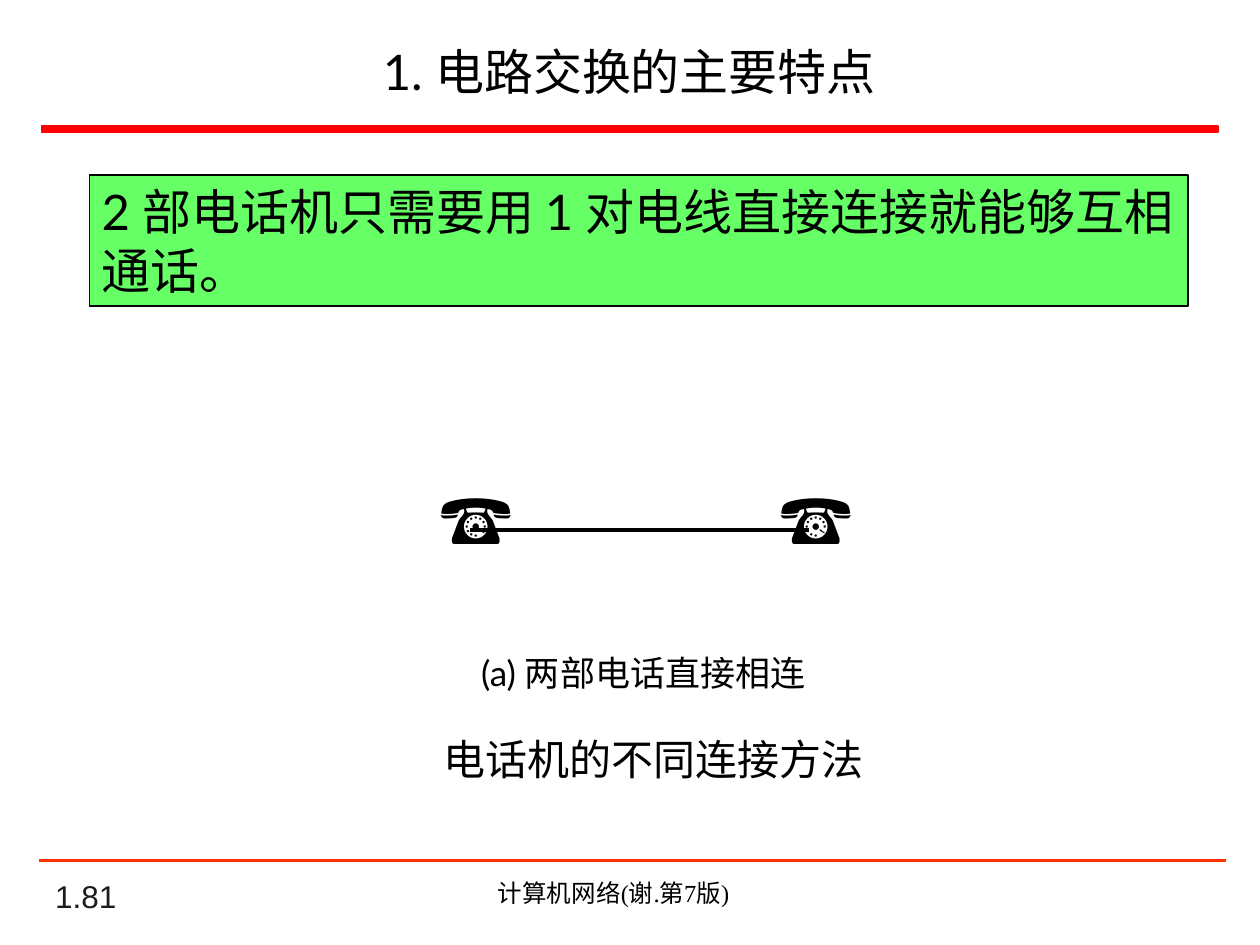
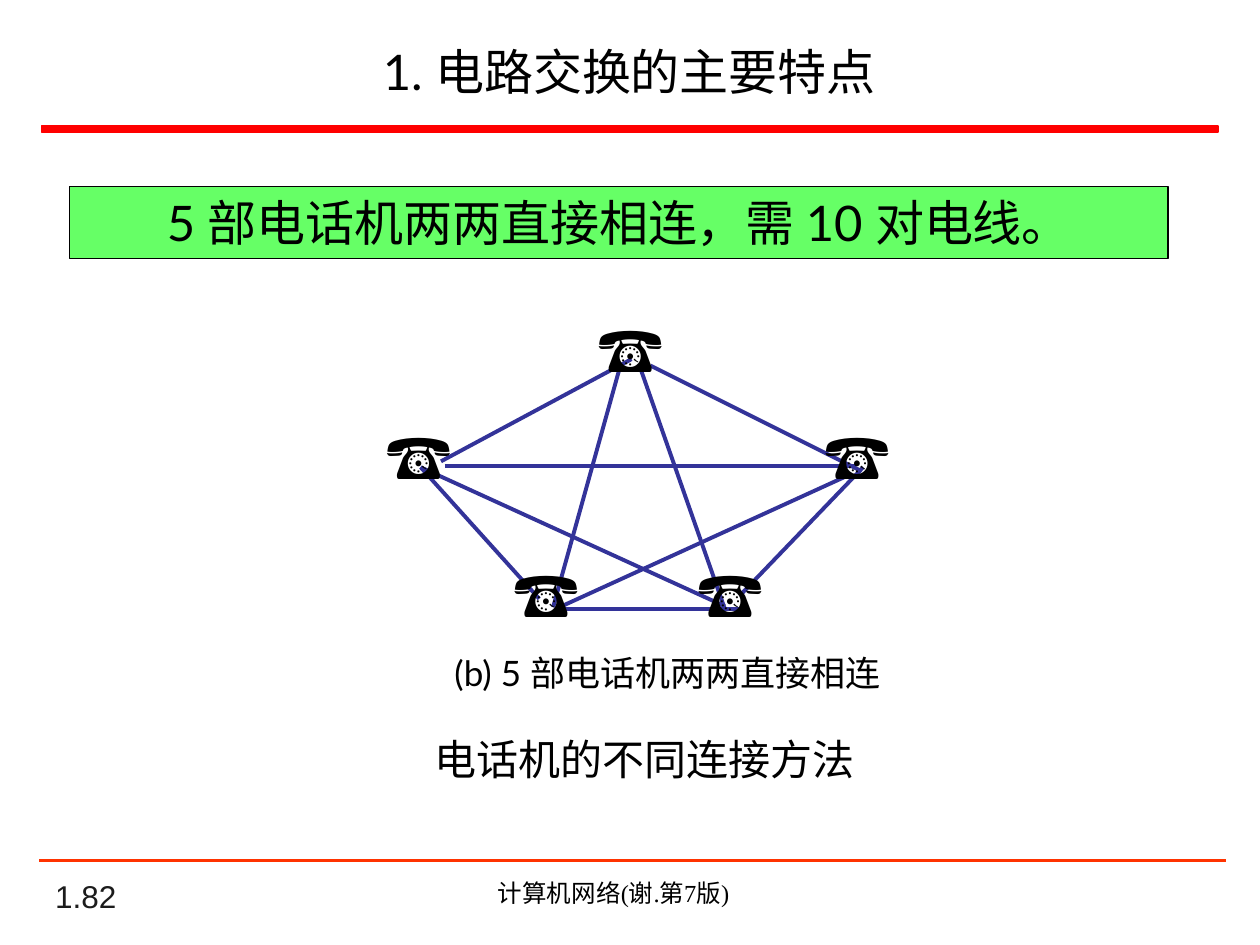
from dataclasses import dataclass
from typing import NamedTuple

from lxml.etree import SubElement
from pptx import Presentation
from pptx.dml.color import RGBColor
from pptx.enum.shapes import MSO_CONNECTOR, MSO_SHAPE
from pptx.enum.text import MSO_ANCHOR, MSO_AUTO_SIZE, PP_ALIGN
from pptx.oxml.ns import qn
from pptx.util import Cm, Pt

BLACK = RGBColor(0x00, 0x00, 0x00)
CHARCOAL = RGBColor(0x1C, 0x1C, 0x1C)
RED = RGBColor(0xFF, 0x00, 0x00)
ORANGE_RED = RGBColor(0xFF, 0x33, 0x00)
GREEN = RGBColor(0x66, 0xFF, 0x66)
INDIGO = RGBColor(0x33, 0x33, 0x99)

HEADING_FONT = "Lato"
SERIF_FONT = "Times New Roman"
NUMBER_FONT = "Arial"

TITLE = "1. 电路交换的主要特点"
FIGURE_TITLE = "电话机的不同连接方法"
FOOTER = "计算机网络(谢.第7版)"


class Area(NamedTuple):
    """A rectangle in centimetres."""
    left: float
    top: float
    width: float
    height: float

    def lengths(self) -> tuple:
        return tuple(Cm(value) for value in self)


class Style(NamedTuple):
    font: str
    size: float
    color: RGBColor = BLACK
    align: PP_ALIGN = PP_ALIGN.CENTER


class Wire(NamedTuple):
    """A straight line between two points in centimetres."""
    x1: float
    y1: float
    x2: float
    y2: float


class Phone(NamedTuple):
    left: float
    top: float


@dataclass
class Figure:
    """The telephones of one slide and the wires joining them."""
    phones: list[Phone]
    phone_size: tuple[float, float]
    phone_points: float
    wires: list[Wire]
    wire_color: RGBColor
    wires_on_top: bool


@dataclass
class Page:
    number: str
    statement: str
    statement_area: Area
    statement_align: PP_ALIGN
    figure: Figure
    caption: str
    caption_area: Area
    figure_title_area: Area


TITLE_STYLE = Style(HEADING_FONT, 28)
FIGURE_TITLE_STYLE = Style(HEADING_FONT, 24)
CAPTION_STYLE = Style(HEADING_FONT, 20)
FOOTER_STYLE = Style(SERIF_FONT, 14)
NUMBER_STYLE = Style(NUMBER_FONT, 18, CHARCOAL, PP_ALIGN.LEFT)

TITLE_AREA = Area(0.99, 0.56, 23.39, 1.75)
BAND_AREA = Area(0.84, 2.54, 23.72, 0.13)
FOOTER_RULE = Wire(0.79, 17.35, 24.71, 17.35)
FOOTER_AREA = Area(7.19, 17.58, 10.36, 0.86)
NUMBER_AREA = Area(0.86, 17.73, 5.28, 0.84)

PAGES = [
    Page(
        number="1.81",
        statement="2 部电话机只需要用 1 对电线直接连接就能够互相通话。",
        statement_area=Area(1.8, 3.53, 22.15, 2.64),
        statement_align=PP_ALIGN.LEFT,
        figure=Figure(
            phones=[Phone(15.49, 9.45), Phone(8.64, 9.45)],
            phone_size=(2.41, 1.96),
            phone_points=40,
            wires=[Wire(9.47, 10.69, 16.31, 10.69)],
            wire_color=BLACK,
            wires_on_top=True,
        ),
        caption="(a) 两部电话直接相连",
        caption_area=Area(8.88, 13, 8.18, 1.12),
        figure_title_area=Area(5.51, 14.66, 15.32, 1.27),
    ),
    Page(
        number="1.82",
        statement="5 部电话机两两直接相连，需 10 对电线。",
        statement_area=Area(1.4, 3.76, 22.15, 1.45),
        statement_align=PP_ALIGN.CENTER,
        figure=Figure(
            phones=[
                Phone(11.81, 6.12),
                Phone(7.54, 8.28),
                Phone(16.38, 8.28),
                Phone(13.82, 11.05),
                Phone(10.11, 11.05),
            ],
            phone_size=(2.21, 1.8),
            phone_points=36,
            wires=[
                Wire(8.89, 9.3, 12.73, 7.24),
                Wire(13.11, 7.37, 17.37, 9.5),
                Wire(8.48, 9.42, 10.87, 12.07),
                Wire(11.18, 12.27, 15.04, 12.27),
                Wire(14.91, 12.01, 17.4, 9.42),
                Wire(12.88, 7.34, 14.61, 12.27),
                Wire(12.5, 7.39, 11.15, 12.24),
                Wire(8.97, 9.4, 17.25, 9.4),
                Wire(8.48, 9.42, 14.61, 12.22),
                Wire(11.28, 12.24, 17.17, 9.55),
            ],
            wire_color=INDIGO,
            wires_on_top=False,
        ),
        caption="(b) 5 部电话机两两直接相连",
        caption_area=Area(8.38, 13, 10.16, 1.12),
        figure_title_area=Area(5.51, 14.66, 14.96, 1.27),
    ),
]


def write(shape, text: str, style: Style, anchor=MSO_ANCHOR.TOP,
          auto_size=MSO_AUTO_SIZE.NONE, wrap: bool = True) -> None:
    frame = shape.text_frame
    frame.word_wrap = wrap
    frame.auto_size = auto_size
    frame.vertical_anchor = anchor
    frame.text = text
    para = frame.paragraphs[0]
    para.alignment = style.align
    para.font.name = style.font
    para.font.size = Pt(style.size)
    para.font.color.rgb = style.color


def add_text(slide, area: Area, text: str, style: Style, **options) -> None:
    write(slide.shapes.add_textbox(*area.lengths()), text, style, **options)


def add_rectangle(slide, area: Area, fill: RGBColor, line: RGBColor, width: float):
    box = slide.shapes.add_shape(MSO_SHAPE.RECTANGLE, *area.lengths())
    box.shadow.inherit = False
    box.fill.solid()
    box.fill.fore_color.rgb = fill
    box.line.color.rgb = line
    box.line.width = Pt(width)
    return box


def add_wire(slide, wire: Wire, color: RGBColor, width: float) -> None:
    ends = [Cm(value) for value in wire]
    connector = slide.shapes.add_connector(MSO_CONNECTOR.STRAIGHT, *ends)
    connector.line.color.rgb = color
    connector.line.width = Pt(width)
    SubElement(connector.element.spPr, qn("a:effectLst"))


def add_frame(slide, number: str) -> None:
    """Draw the title, band, footer and page number that all slides share."""
    title = slide.shapes.title
    title.left, title.top, title.width, title.height = TITLE_AREA.lengths()
    write(title, TITLE, TITLE_STYLE, anchor=MSO_ANCHOR.MIDDLE)
    add_rectangle(slide, BAND_AREA, RED, RED, 1)
    add_wire(slide, FOOTER_RULE, ORANGE_RED, 1.5)
    add_text(slide, FOOTER_AREA, FOOTER, FOOTER_STYLE)
    add_text(slide, NUMBER_AREA, number, NUMBER_STYLE, anchor=MSO_ANCHOR.BOTTOM)


def add_phones(slide, figure: Figure) -> None:
    style = Style(SERIF_FONT, figure.phone_points, align=PP_ALIGN.LEFT)
    for phone in figure.phones:
        add_text(slide, Area(*phone, *figure.phone_size), "☎", style,
                 auto_size=MSO_AUTO_SIZE.SHAPE_TO_FIT_TEXT, wrap=False)


def add_wires(slide, figure: Figure) -> None:
    for wire in figure.wires:
        add_wire(slide, wire, figure.wire_color, 2.25)


def add_figure(slide, figure: Figure) -> None:
    layers = [add_wires, add_phones]
    if figure.wires_on_top:
        layers.reverse()
    for add_layer in layers:
        add_layer(slide, figure)


def add_page(deck, page: Page) -> None:
    slide = deck.slides.add_slide(deck.slide_layouts.get_by_name("Title Only"))
    add_frame(slide, page.number)
    statement = add_rectangle(slide, page.statement_area, GREEN, BLACK, 0.75)
    write(statement, page.statement,
          Style(HEADING_FONT, 28, align=page.statement_align))
    add_figure(slide, page.figure)
    add_text(slide, page.figure_title_area, FIGURE_TITLE, FIGURE_TITLE_STYLE)
    add_text(slide, page.caption_area, page.caption, CAPTION_STYLE)


def main() -> None:
    deck = Presentation()
    deck.slide_width, deck.slide_height = Cm(25.4), Cm(19.05)
    for page in PAGES:
        add_page(deck, page)
    deck.save("out.pptx")


if __name__ == "__main__":
    main()
